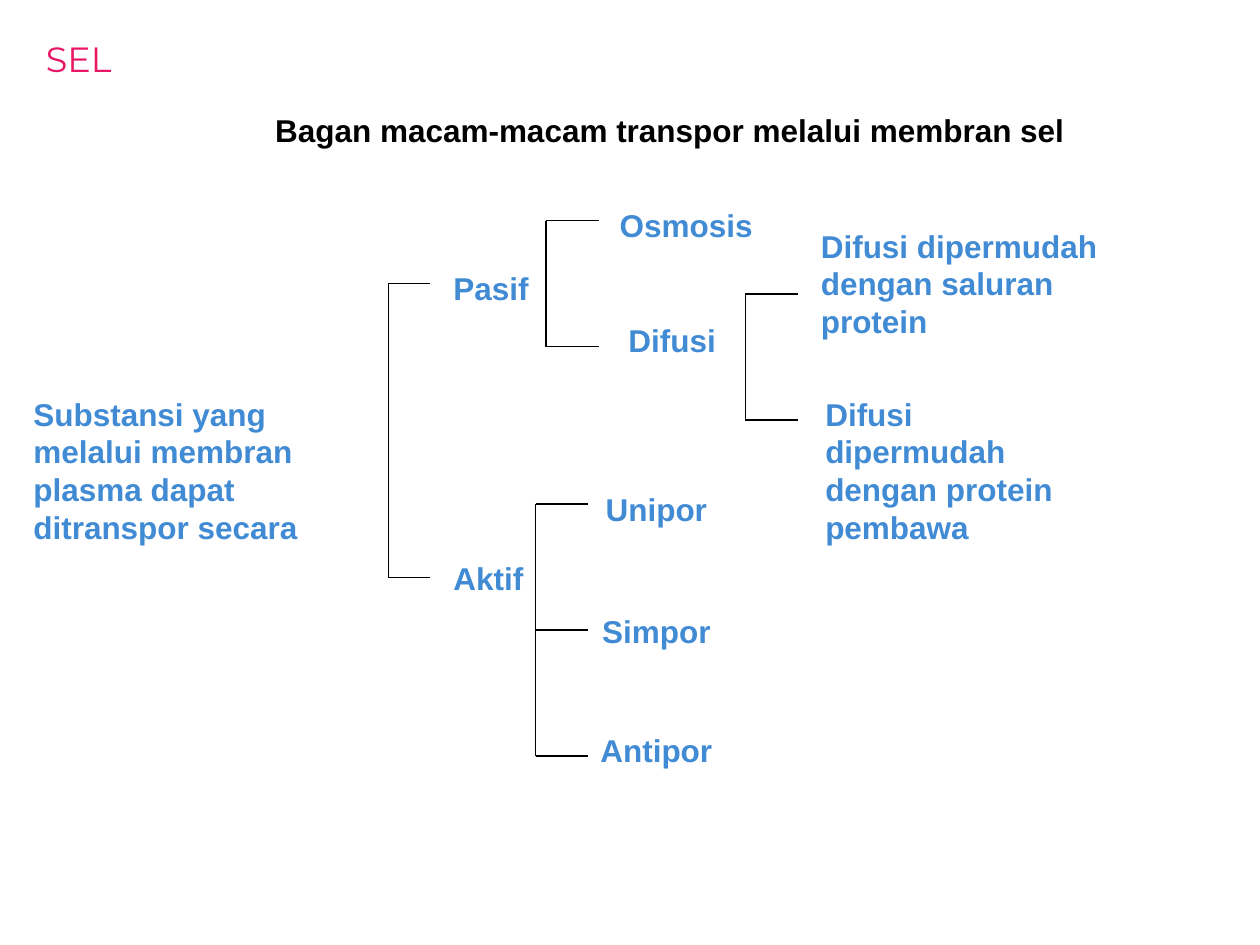
from dataclasses import dataclass

from lxml.etree import SubElement
from pptx import Presentation
from pptx.dml.color import RGBColor
from pptx.enum.shapes import MSO_CONNECTOR
from pptx.enum.text import MSO_ANCHOR, MSO_AUTO_SIZE, PP_ALIGN
from pptx.oxml.ns import qn
from pptx.util import Pt


@dataclass(frozen=True)
class Theme:
    """Colours, fonts and sizes of the slide."""
    black: RGBColor = RGBColor(0x00, 0x00, 0x00)
    blue: RGBColor = RGBColor(0x41, 0x8B, 0xD5)
    pink: RGBColor = RGBColor(0xE8, 0x17, 0x66)
    body_font: str = "Arial"
    subject_font: str = "Montserrat"
    body_size: float = 18
    subject_size: float = 20
    line_width: float = 0.75


THEME = Theme()

LABELS = [
    ("Substansi yang melalui membran plasma dapat ditranspor secara", 12, 222, 204, 94),
    ("Pasif", 252, 150, 60, 29),
    ("Aktif", 252, 316, 60, 29),
    ("Osmosis", 347, 114, 96, 29),
    ("Difusi", 352, 180, 66, 29),
    ("Unipor", 339, 276.5, 87, 29),
    ("Simpor", 337, 346, 89, 29),
    ("Antipor", 336, 414, 90, 29),
    ("Difusi dipermudah dengan saluran protein", 462, 126, 174, 72),
    ("Difusi dipermudah dengan protein pembawa", 464.5, 222, 168, 94),
]

BRACKETS = [
    (222, (162, 330), 24),
    (312, (126, 198), 30),
    (306, (288, 360, 432), 30),
    (426, (168, 240), 30),
]


def write_text(shape, text, *, color=THEME.blue, font=THEME.body_font,
               size=THEME.body_size, bold=True, align=PP_ALIGN.LEFT, wrap=True,
               auto_size=MSO_AUTO_SIZE.SHAPE_TO_FIT_TEXT):
    """Fill a shape with one formatted paragraph."""
    frame = shape.text_frame
    frame.text = text
    frame.word_wrap = wrap
    frame.auto_size = auto_size
    frame.vertical_anchor = MSO_ANCHOR.TOP
    paragraph = frame.paragraphs[0]
    paragraph.alignment = align
    run_font = paragraph.runs[0].font
    run_font.name = font
    run_font.size = Pt(size)
    run_font.bold = bold
    run_font.color.rgb = color


def add_label(slide, text, left, top, width, height, **text_format):
    """Add a text box and write its text."""
    box = slide.shapes.add_textbox(Pt(left), Pt(top), Pt(width), Pt(height))
    write_text(box, text, **text_format)


def add_title(slide, text, left, top, width, height):
    """Move the title placeholder and write its text."""
    title = slide.shapes.title
    title.left, title.top = Pt(left), Pt(top)
    title.width, title.height = Pt(width), Pt(height)
    write_text(title, text, color=THEME.black, wrap=False)


def add_line(slide, start_x, start_y, end_x, end_y):
    """Add a thin straight line without a shadow."""
    line = slide.shapes.add_connector(
        MSO_CONNECTOR.STRAIGHT, Pt(start_x), Pt(start_y), Pt(end_x), Pt(end_y))
    line.line.color.rgb = THEME.black
    line.line.width = Pt(THEME.line_width)
    SubElement(line._element.spPr, qn("a:effectLst"))


def add_bracket(slide, left, branch_tops, branch_length):
    """Add a vertical stem with one branch to the right at each height."""
    add_line(slide, left, branch_tops[0], left, branch_tops[-1])
    for top in branch_tops:
        add_line(slide, left, top, left + branch_length, top)


def main():
    """Build the chart of membrane transport and save it."""
    presentation = Presentation()
    presentation.slide_width, presentation.slide_height = Pt(720), Pt(540)
    slide = presentation.slides.add_slide(presentation.slide_layouts[5])
    add_title(slide, "Bagan macam-macam transpor melalui membran sel", 150, 60, 466, 29)
    add_label(slide, "SEL", 12, 18, 66, 24, color=THEME.pink, font=THEME.subject_font,
              size=THEME.subject_size, bold=False, align=PP_ALIGN.CENTER, wrap=False,
              auto_size=MSO_AUTO_SIZE.NONE)
    for label in LABELS:
        add_label(slide, *label)
    for bracket in BRACKETS:
        add_bracket(slide, *bracket)
    presentation.save("out.pptx")


if __name__ == "__main__":
    main()
